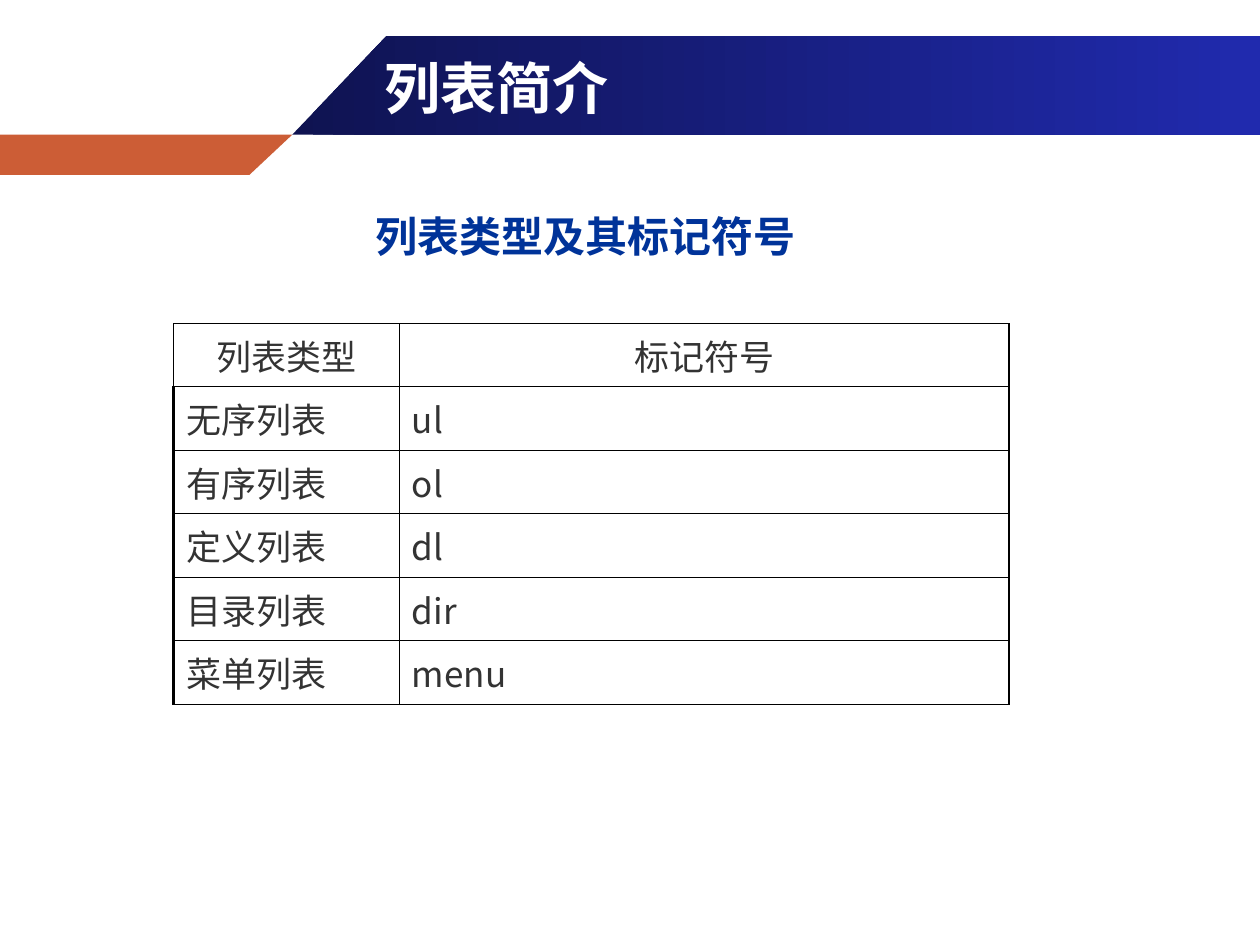
import lxml.etree
import pptx
import pptx.dml.color
import pptx.enum.text
import pptx.oxml
import pptx.oxml.ns
import pptx.util

Pt = pptx.util.Pt
RGBColor = pptx.dml.color.RGBColor
ALIGN = pptx.enum.text.PP_ALIGN
ANCHOR = pptx.enum.text.MSO_ANCHOR
qn = pptx.oxml.ns.qn

WHITE = RGBColor(0xFF, 0xFF, 0xFF)
NAVY = RGBColor(0x0F, 0x13, 0x51)
BLUE = RGBColor(0x20, 0x2A, 0xAE)
ORANGE = RGBColor(0xCC, 0x5D, 0x36)
HEADING = RGBColor(0x00, 0x33, 0x99)
TEXT = RGBColor(0x33, 0x33, 0x33)
BLACK = RGBColor(0x00, 0x00, 0x00)

THIN, THICK = 0.45, 1.47


class SlideBuilder:
    font_name = "Noto Sans CJK SC"

    def __init__(self, slide):
        self.slide = slide

    def fill_text(self, frame, text, color, alignment, **font_format):
        frame.word_wrap = True
        paragraph = frame.paragraphs[0]
        paragraph.alignment = alignment
        paragraph.space_before = Pt(0)
        lxml.etree.SubElement(paragraph._p.get_or_add_pPr(), qn("a:buNone"))
        run = paragraph.add_run()
        run.text = text
        for name, value in {"name": self.font_name, **font_format}.items():
            setattr(run.font, name, value)
        run.font.color.rgb = color
        properties = run._r.get_or_add_rPr()
        lxml.etree.SubElement(properties, qn("a:ea"), typeface=self.font_name)

    def placeholder(self, index, box, text, color, alignment, anchor, size):
        shape = self.slide.placeholders[index]
        for name, value in zip(("left", "top", "width", "height"), box):
            setattr(shape, name, Pt(value))
        frame = shape.text_frame
        frame.auto_size = pptx.enum.text.MSO_AUTO_SIZE.NONE
        frame.vertical_anchor = anchor
        self.fill_text(frame, text, color, alignment, size=Pt(size), bold=True)

    def band(self, points, colors):
        start, *others = [(Pt(x), Pt(y)) for x, y in points]
        builder = self.slide.shapes.build_freeform(*start, scale=1.0)
        builder.add_line_segments(others, close=True)
        shape = builder.convert_to_shape()
        shape.shadow.inherit = False
        shape.line.fill.background()
        if len(colors) == 1:
            shape.fill.solid()
            shape.fill.fore_color.rgb = colors[0]
        else:
            shape.fill.gradient()
            shape.fill.gradient_angle = 0
            for stop, color in zip(shape.fill.gradient_stops, colors):
                stop.color.rgb = color
        shape.element.getparent().insert(2, shape.element)

    def border(self, cell, side, width):
        line = lxml.etree.SubElement(
            cell._tc.get_or_add_tcPr(), qn(f"a:ln{side}"), w=str(Pt(width)))
        fill = lxml.etree.SubElement(line, qn("a:solidFill"))
        lxml.etree.SubElement(fill, qn("a:srgbClr"), val=str(BLACK))

    def table(self, left, top, widths, row_height, rows):
        shape = self.slide.shapes.add_table(
            len(rows), len(widths), Pt(left), Pt(top),
            Pt(sum(widths)), Pt(row_height * len(rows)))
        table = shape.table
        table.first_row = table.horz_banding = False
        for column, width in zip(table.columns, widths):
            column.width = Pt(width)
        for row_index, texts in enumerate(rows):
            table.rows[row_index].height = Pt(row_height)
            for column_index, text in enumerate(texts):
                cell = table.cell(row_index, column_index)
                header = row_index == 0
                first = column_index == 0
                last = column_index == len(widths) - 1
                borders = {"L": THICK if first and not header else THIN,
                           "R": THICK if last else THIN,
                           "T": THIN, "B": THIN}
                for side, width in borders.items():
                    self.border(cell, side, width)
                cell.fill.background()
                self.fill_text(cell.text_frame, text, TEXT,
                               ALIGN.CENTER if header else ALIGN.LEFT, size=Pt(20))


def main():
    presentation = pptx.Presentation()
    presentation.slide_width = Pt(720)
    presentation.slide_height = Pt(540)
    slide = presentation.slides.add_slide(presentation.slide_layouts[1])
    builder = SlideBuilder(slide)

    builder.band([(0, 77), (167, 77), (142.5, 100), (0, 100)], [ORANGE])
    builder.band([(167, 77), (720.5, 77), (720.5, 20.5), (221, 20.5)], [NAVY, BLUE])
    builder.placeholder(0, (212.4, 26, 496, 47.5), "列表简介",
                        WHITE, ALIGN.LEFT, ANCHOR.MIDDLE, 32)
    builder.placeholder(1, (139, 116.5, 391, 51), "列表类型及其标记符号",
                        HEADING, ALIGN.CENTER, ANCHOR.TOP, 24)
    builder.table(99.2, 184.8, (129, 348.5), 31.2, [
        ("列表类型", "标记符号"),
        ("无序列表", "ul"),
        ("有序列表", "ol"),
        ("定义列表", "dl"),
        ("目录列表", "dir"),
        ("菜单列表", "menu"),
    ])
    presentation.save("out.pptx")


if __name__ == "__main__":
    main()
